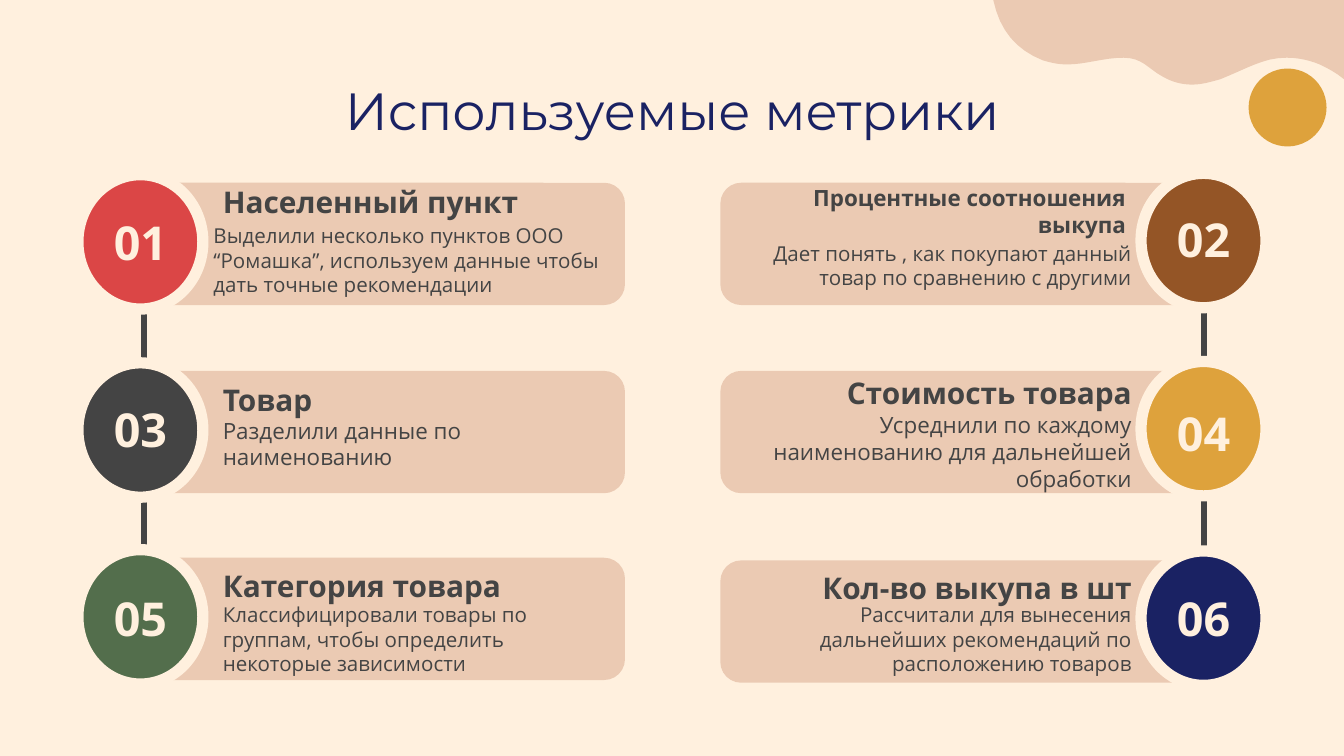
from dataclasses import dataclass

from lxml.etree import SubElement
from pptx import Presentation
from pptx.dml.color import RGBColor
from pptx.enum.shapes import MSO_CONNECTOR, MSO_SHAPE
from pptx.enum.text import MSO_ANCHOR as Anchor, MSO_AUTO_SIZE as AutoSize, PP_ALIGN as Align
from pptx.oxml.ns import qn
from pptx.util import Inches, Pt


@dataclass(frozen=True)
class Theme:
    cream: str = "FFF0DE"
    peach: str = "EBCAB3"
    ink: str = "444444"
    navy: str = "1A2263"
    gold: str = "DEA23C"
    red: str = "DB4646"
    brown: str = "945526"
    green: str = "536E4C"
    title_font: str = "Montserrat"
    text_font: str = "Open Sans"
    title_size: float = 28
    number_size: float = 25
    heading_size: float = 16
    long_heading_size: float = 12
    large_size: float = 12
    small_size: float = 11


THEME = Theme()


@dataclass(frozen=True)
class Area:
    left: float
    top: float
    width: float
    height: float

    def lengths(self) -> list:
        return [Inches(value) for value in (self.left, self.top, self.width, self.height)]


@dataclass(frozen=True)
class Style:
    size: float
    color: str
    align: Align
    bold: bool = False
    font: str = THEME.text_font
    anchor: Anchor = Anchor.TOP


@dataclass(frozen=True)
class Side:
    card_left: float
    circle_left: float
    circle_rise: float
    line_x: float
    line_bottom: float
    align: Align


@dataclass(frozen=True)
class Metric:
    number: str
    side: Side
    color: str
    card_top: float
    number_top: float
    heading: tuple
    heading_area: Area
    detail: str
    detail_area: Area
    detail_size: float
    heading_size: float = THEME.heading_size


LEFT = Side(1.03, 0.58, 0.06, 1.07, 4.62, Align.LEFT)
RIGHT = Side(5.36, 8.49, 0.07, 8.96, 4.61, Align.RIGHT)
CARD_WIDTH, CARD_HEIGHT = 3.62, 0.91
CIRCLE_WIDTH, CIRCLE_HEIGHT = 0.93, 1
LINE_TOP = 1.77

METRICS = (
    Metric("01", LEFT, THEME.red, 1.36, 1.3,
           ("Населенный пункт",), Area(1.56, 1.27, 3.14, 0.42),
           "Выделили несколько пунктов OOO “Ромашка”, используем данные чтобы дать точные рекомендации",
           Area(1.49, 1.56, 3.36, 0.74), THEME.small_size),
    Metric("02", RIGHT, THEME.brown, 1.36, 1.28,
           ("Процентные соотношения ", "выкупа "), Area(4.3, 1.27, 4.22, 0.58),
           "Дает понять , как покупают данный товар по сравнению с другими",
           Area(5.38, 1.69, 3.14, 0.91), THEME.small_size, THEME.long_heading_size),
    Metric("03", LEFT, THEME.ink, 2.76, 2.69,
           ("Товар",), Area(1.56, 2.74, 3.14, 0.42),
           "Разделили данные по наименованию",
           Area(1.56, 3, 3.14, 0.55), THEME.large_size),
    Metric("04", RIGHT, THEME.gold, 2.76, 2.72,
           ("Стоимость товара",), Area(5.38, 2.69, 3.14, 0.42),
           "Усреднили по каждому наименованию для дальнейшей обработки",
           Area(5.38, 2.96, 3.14, 0.55), THEME.large_size),
    Metric("05", LEFT, THEME.green, 4.15, 4.1,
           ("Категория товара",), Area(1.56, 4.12, 3.14, 0.42),
           "Классифицировали товары по группам, чтобы определить некоторые зависимости",
           Area(1.56, 4.38, 3.14, 0.63), THEME.small_size),
    Metric("06", RIGHT, THEME.navy, 4.17, 4.1,
           ("Кол-во выкупа в шт",), Area(5.38, 4.14, 3.14, 0.42),
           "Рассчитали для вынесения дальнейших рекомендаций по расположению товаров",
           Area(5.38, 4.38, 3.14, 0.52), THEME.small_size),
)

# Each curve: two control points and an end point
BLOB_START = (10, 0.59)
BLOB_CURVES = (
    ((9.94, 0.54), (9.88, 0.51), (9.82, 0.48)),
    ((9.72, 0.44), (9.64, 0.43), (9.57, 0.43)),
    ((9.4, 0.43), (9.28, 0.51), (9.08, 0.59)),
    ((9.01, 0.61), (8.94, 0.63), (8.87, 0.63)),
    ((8.79, 0.63), (8.72, 0.61), (8.65, 0.57)),
    ((8.54, 0.51), (8.5, 0.43), (8.36, 0.43)),
    ((8.21, 0.43), (8.08, 0.48), (7.94, 0.48)),
    ((7.88, 0.48), (7.83, 0.47), (7.76, 0.45)),
    ((7.56, 0.37), (7.44, 0.23), (7.39, 0)),
)


def rgb(color: str) -> RGBColor:
    return RGBColor.from_string(color)


def paint(shape, fill: str, outline: str = "", weight: float = 0) -> None:
    shape.shadow.inherit = False
    shape.fill.solid()
    shape.fill.fore_color.rgb = rgb(fill)
    if outline:
        shape.line.color.rgb = rgb(outline)
        shape.line.width = Pt(weight)
    else:
        shape.line.fill.background()


def write(box, lines: tuple, style: Style) -> None:
    frame = box.text_frame
    frame.word_wrap = True
    frame.auto_size = AutoSize.NONE
    frame.vertical_anchor = style.anchor
    frame.margin_left = frame.margin_right = Inches(0.1)
    frame.margin_top = frame.margin_bottom = Inches(0.1)
    for index, line in enumerate(lines):
        para = frame.add_paragraph() if index else frame.paragraphs[0]
        para.alignment = style.align
        span = para.add_run()
        span.text = line
        span.font.name = style.font
        span.font.size = Pt(style.size)
        span.font.bold = style.bold
        span.font.color.rgb = rgb(style.color)


def add_text(slide, area: Area, lines: tuple, style: Style) -> None:
    write(slide.shapes.add_textbox(*area.lengths()), lines, style)


def add_blob(slide, steps: int = 8) -> None:
    points, start = [], BLOB_START
    for first, second, end in BLOB_CURVES:
        for step in range(1, steps + 1):
            t = step / steps
            weights = ((1 - t) ** 3, 3 * t * (1 - t) ** 2, 3 * t ** 2 * (1 - t), t ** 3)
            corners = (start, first, second, end)
            points.append(tuple(
                Inches(sum(w * corner[axis] for w, corner in zip(weights, corners)))
                for axis in (0, 1)))
        start = end
    builder = slide.shapes.build_freeform(Inches(10), 0)
    builder.add_line_segments([tuple(map(Inches, BLOB_START)), *points], close=True)
    paint(builder.convert_to_shape(), THEME.peach)


def add_timeline(slide, side: Side) -> None:
    x = Inches(side.line_x)
    line = slide.shapes.add_connector(
        MSO_CONNECTOR.STRAIGHT, x, Inches(LINE_TOP), x, Inches(side.line_bottom))
    line.line.color.rgb = rgb(THEME.ink)
    line.line.width = Pt(3)
    SubElement(line._element.spPr, qn("a:effectLst"))


def add_metric(slide, metric: Metric) -> None:
    side = metric.side
    card_area = Area(side.card_left, metric.card_top, CARD_WIDTH, CARD_HEIGHT)
    card = slide.shapes.add_shape(MSO_SHAPE.ROUNDED_RECTANGLE, *card_area.lengths())
    card.adjustments[0] = 0.17
    paint(card, THEME.peach)
    circle_top = metric.card_top - side.circle_rise
    circle_area = Area(side.circle_left, circle_top, CIRCLE_WIDTH, CIRCLE_HEIGHT)
    circle = slide.shapes.add_shape(MSO_SHAPE.OVAL, *circle_area.lengths())
    paint(circle, metric.color, THEME.cream, 6)

    number_area = Area(side.circle_left, metric.number_top, CIRCLE_WIDTH, CIRCLE_HEIGHT)
    add_text(slide, number_area, (metric.number,),
             Style(THEME.number_size, THEME.cream, Align.CENTER, True, anchor=Anchor.MIDDLE))
    add_text(slide, metric.heading_area, metric.heading,
             Style(metric.heading_size, THEME.ink, side.align, True))
    add_text(slide, metric.detail_area, (metric.detail,),
             Style(metric.detail_size, THEME.ink, side.align))


def main() -> None:
    deck = Presentation()
    deck.slide_width = Inches(10)
    deck.slide_height = deck.slide_width * 9 // 16
    slide = deck.slides.add_slide(deck.slide_layouts[5])
    slide.background.fill.solid()
    slide.background.fill.fore_color.rgb = rgb(THEME.cream)

    # Corner decoration
    add_blob(slide)
    dot = slide.shapes.add_shape(MSO_SHAPE.OVAL, *Area(9.29, 0.51, 0.58, 0.58).lengths())
    paint(dot, THEME.gold)

    # Title
    title = slide.shapes.title
    title.left, title.top, title.width, title.height = Area(0.78, 0.48, 8.44, 0.63).lengths()
    write(title, ("Используемые метрики",),
          Style(THEME.title_size, THEME.navy, Align.CENTER, font=THEME.title_font))

    # Timelines behind the metric cards
    for side in (LEFT, RIGHT):
        add_timeline(slide, side)
    for metric in METRICS:
        add_metric(slide, metric)
    deck.save("out.pptx")


if __name__ == "__main__":
    main()
